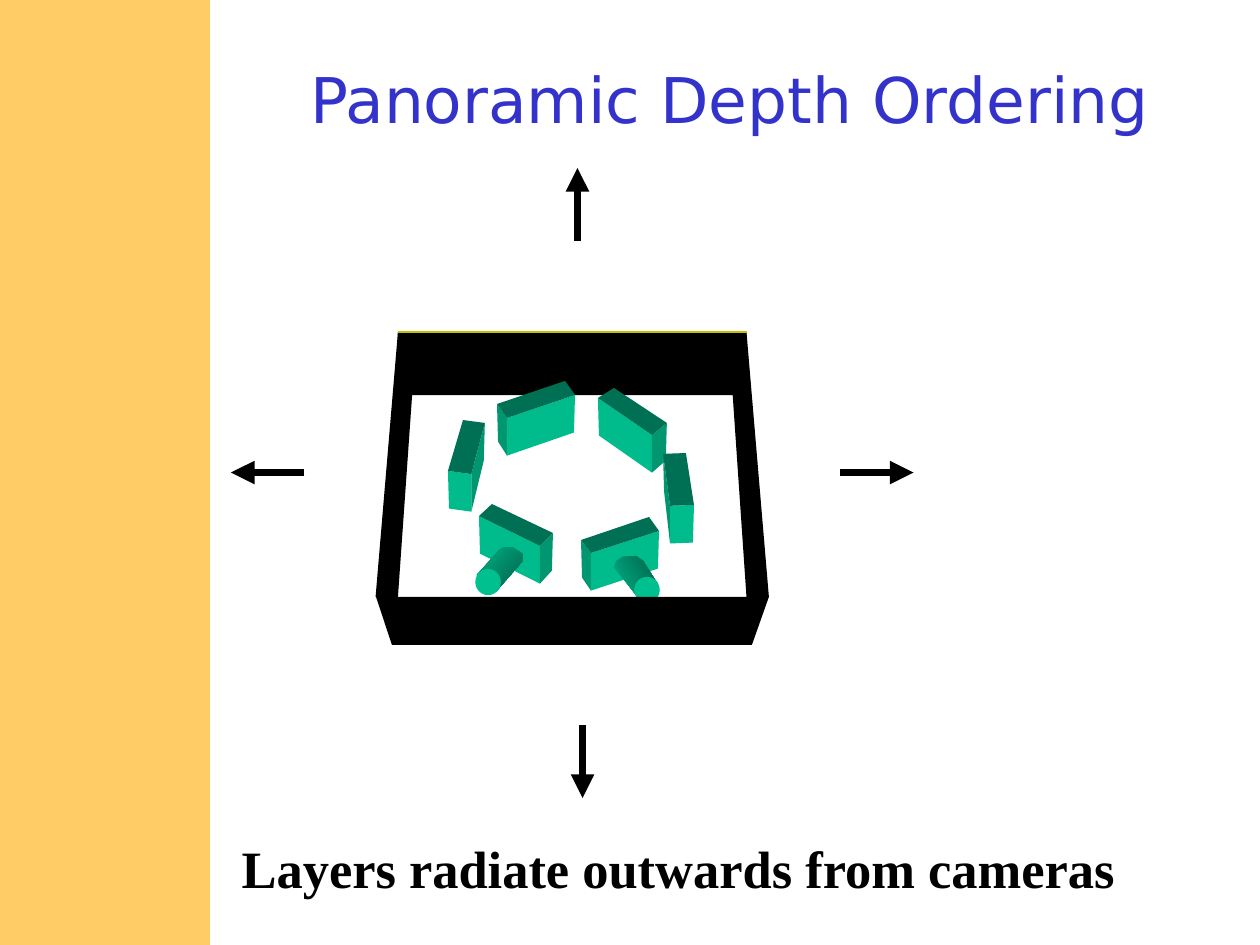
import pptx
import pptx.util
import pptx.dml.color
import pptx.enum.shapes
import pptx.enum.text
import pptx.oxml
import pptx.oxml.ns
import lxml.etree

Pt = pptx.util.Pt
RGBColor = pptx.dml.color.RGBColor
SHAPE = pptx.enum.shapes.MSO_SHAPE
ALIGN = pptx.enum.text.PP_ALIGN
ANCHOR = pptx.enum.text.MSO_ANCHOR

SAND = RGBColor(0xFF, 0xCC, 0x66)
BLUE = RGBColor(0x33, 0x33, 0xCC)
BLACK = RGBColor(0, 0, 0)
OLIVE = RGBColor(0xC3, 0xBE, 0x00)
BODY_GREEN = RGBColor(0x00, 0xBC, 0x8D)
GLASS_GREEN = RGBColor(0x00, 0xC0, 0x90)
BARREL_GREEN = RGBColor(0x00, 0xB2, 0x86)
DARK_GREEN = RGBColor(0x00, 0x60, 0x48)

CAMERA_HEIGHT = 21.5
CAMERA_TAPER = 0.6

# Top corners of each camera body: left, nearest, right, farthest
CAMERAS = [
    [(284, 230.9), (289.7, 238.9), (328.6, 225.7), (322.9, 217.7)],
    [(341.7, 227.4), (372.6, 248.6), (381.1, 241.7), (350.9, 221.7)],
    [(256, 269.1), (269.4, 270.9), (277.1, 241.7), (264.6, 240)],
    [(378.9, 259.4), (382.9, 289.1), (396.6, 288.6), (392, 258.9)],
    [(273.7, 294.9), (308.6, 312), (316, 304.6), (281.1, 288)],
    [(332, 308.6), (337.7, 316), (376.6, 303.4), (370.9, 295.4)],
]

# Barrel outline, gradient angle and centre of the front glass
LENSES = [
    ([(272.5, 328.6), (285.7, 313.8), (289, 312.6), (292.6, 312.6), (298.6, 316.6),
      (298.3, 321), (283.5, 338)], 315, (278.9, 332.6)),
    ([(350.9, 324), (352.5, 320.6), (356, 318.3), (363.4, 317.7), (367.5, 320.6),
      (376, 334), (363.5, 340)], 30, (369.7, 337.1)),
]

LEFT_WALL = [(227.4, 189.7), (214.6, 341.1), (227.4, 341.1), (235.5, 225.8)]
RIGHT_WALL = [(426.6, 189.7), (439.4, 341.1), (426.6, 341.1), (418.7, 225.8)]
FRONT_WALL = [(214.9, 341.1), (439.4, 341.1), (429.7, 368.6), (224, 368.6)]

ARROWS = [
    ((480, 270), (522, 270)),
    ((174, 270), (132, 270)),
    ((332.9, 414), (332.9, 456)),
    ((330, 138), (330, 96)),
]


def paint(shape, color):
    shape.shadow.inherit = False
    shape.fill.solid()
    shape.fill.fore_color.rgb = color
    shape.line.fill.background()


def add_preset(slide, kind, left, top, width, height, color):
    shape = slide.shapes.add_shape(kind, Pt(left), Pt(top), Pt(width), Pt(height))
    paint(shape, color)
    return shape


def add_outline(slide, contours, color):
    contours = [[(Pt(x), Pt(y)) for x, y in contour] for contour in contours]
    builder = slide.shapes.build_freeform(*contours[0][0])
    for index, contour in enumerate(contours):
        if index:
            builder.move_to(*contour[0])
        builder.add_line_segments(contour[1:], close=True)
    shape = builder.convert_to_shape()
    paint(shape, color)
    return shape


def shade_contours(shape, shades):
    """Give each contour its own path, filled with a shade of the shape's colour."""
    whole = shape._element.find(".//" + pptx.oxml.ns.qn("a:path"))
    path_list = whole.getparent()
    remaining = iter(shades)
    face = None
    for step in list(whole):
        if step.tag == pptx.oxml.ns.qn("a:moveTo"):
            face = lxml.etree.SubElement(path_list, whole.tag, dict(whole.attrib))
            face.set("fill", next(remaining))
        face.append(step)
    path_list.remove(whole)


def add_camera(slide, corners):
    left, near, right, _ = corners
    low_left, low_near, low_right = [
        (x + shift, y + CAMERA_HEIGHT)
        for (x, y), shift in zip(corners, (CAMERA_TAPER, 0, -CAMERA_TAPER))]
    faces = [[left, near, low_near, low_left], [near, right, low_right, low_near], corners]
    # The narrower of the two visible faces lies in the shade
    left_is_wide = near[0] - left[0] > right[0] - near[0]
    sides = ["norm", "darkenLess"] if left_is_wide else ["darkenLess", "norm"]
    body = add_outline(slide, faces, BODY_GREEN)
    shade_contours(body, sides + ["darken"])


def add_lens(slide, outline, angle, center):
    barrel = add_outline(slide, [outline], BARREL_GREEN)
    barrel.fill.gradient()
    barrel.fill.gradient_angle = angle
    for stop, color in zip(barrel.fill.gradient_stops, (BARREL_GREEN, DARK_GREEN)):
        stop.color.rgb = color
    add_preset(slide, SHAPE.OVAL, center[0] - 7.3, center[1] - 7.5, 14.6, 15, GLASS_GREEN)


def add_line(slide, start, end, color, width, arrow=False):
    connector = slide.shapes.add_connector(
        pptx.enum.shapes.MSO_CONNECTOR.STRAIGHT,
        Pt(start[0]), Pt(start[1]), Pt(end[0]), Pt(end[1]))
    connector.line.color.rgb = color
    connector.line.width = Pt(width)
    if arrow:
        head = pptx.oxml.parse_xml(
            f'<a:tailEnd {pptx.oxml.ns.nsdecls("a")} type="triangle"/>')
        connector.line._get_or_add_ln().append(head)
    effects = pptx.oxml.parse_xml(f'<a:effectLst {pptx.oxml.ns.nsdecls("a")}/>')
    connector._element.spPr.append(effects)


def write_text(shape, text, *, font, size, color, bold=False, align=ALIGN.LEFT, wrap=True):
    frame = shape.text_frame
    frame.word_wrap = wrap
    frame.auto_size = pptx.enum.text.MSO_AUTO_SIZE.NONE
    frame.vertical_anchor = ANCHOR.MIDDLE
    paragraph = frame.paragraphs[0]
    paragraph.text = text
    paragraph.alignment = align
    paragraph.font.name = font
    paragraph.font.size = Pt(size)
    paragraph.font.bold = bold
    paragraph.font.color.rgb = color


def main():
    presentation = pptx.Presentation()
    presentation.slide_width = Pt(720)
    presentation.slide_height = Pt(540)
    slide = presentation.slides.add_slide(presentation.slide_layouts[5])

    # Side band and title
    add_preset(slide, SHAPE.RECTANGLE, 0, 0, 120, 540, SAND)
    title = slide.shapes.title
    title.left, title.top, title.width, title.height = Pt(132), Pt(11), Pt(570), Pt(90)
    write_text(title, "Panoramic Depth Ordering", font="DejaVu Sans", size=36,
               color=BLUE, align=ALIGN.CENTER)

    # Open box with the ring of cameras inside
    add_preset(slide, SHAPE.RECTANGLE, 227.4, 189.7, 199.2, 36.1, BLACK)
    for wall in (LEFT_WALL, RIGHT_WALL):
        add_outline(slide, [wall], BLACK)
    add_line(slide, LEFT_WALL[0], RIGHT_WALL[0], OLIVE, 1)
    for corners in CAMERAS:
        add_camera(slide, corners)
    for outline, angle, center in LENSES:
        add_lens(slide, outline, angle, center)
    add_outline(slide, [FRONT_WALL], BLACK)

    # Arrows pointing outwards
    for start, end in ARROWS:
        add_line(slide, start, end, BLACK, 4.5, arrow=True)

    # Caption
    caption = slide.shapes.add_textbox(Pt(131), Pt(474), Pt(515), Pt(43))
    write_text(caption, "Layers radiate outwards from cameras", font="Times New Roman",
               size=30, color=BLACK, bold=True, wrap=False)

    presentation.save("out.pptx")


if __name__ == "__main__":
    main()
